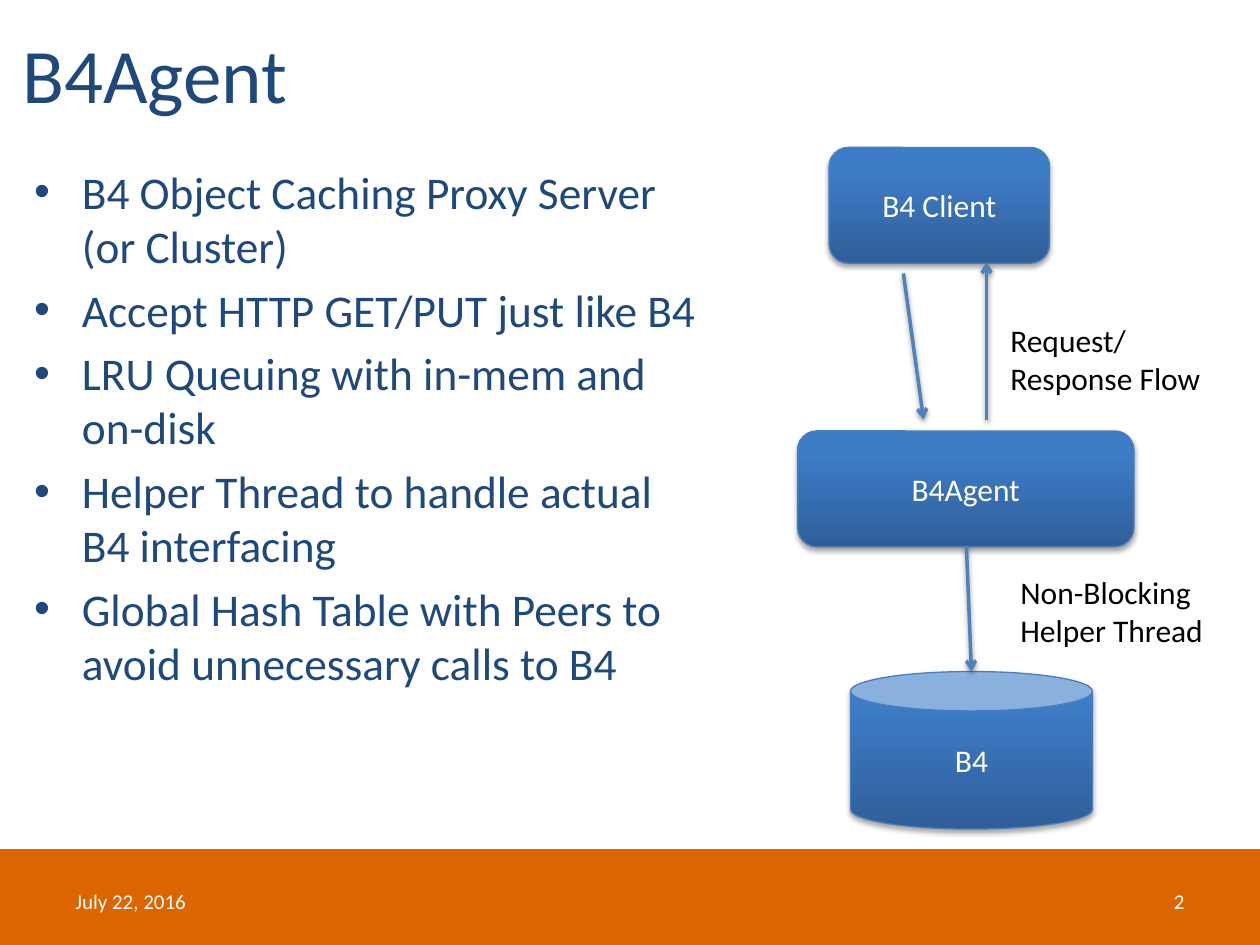
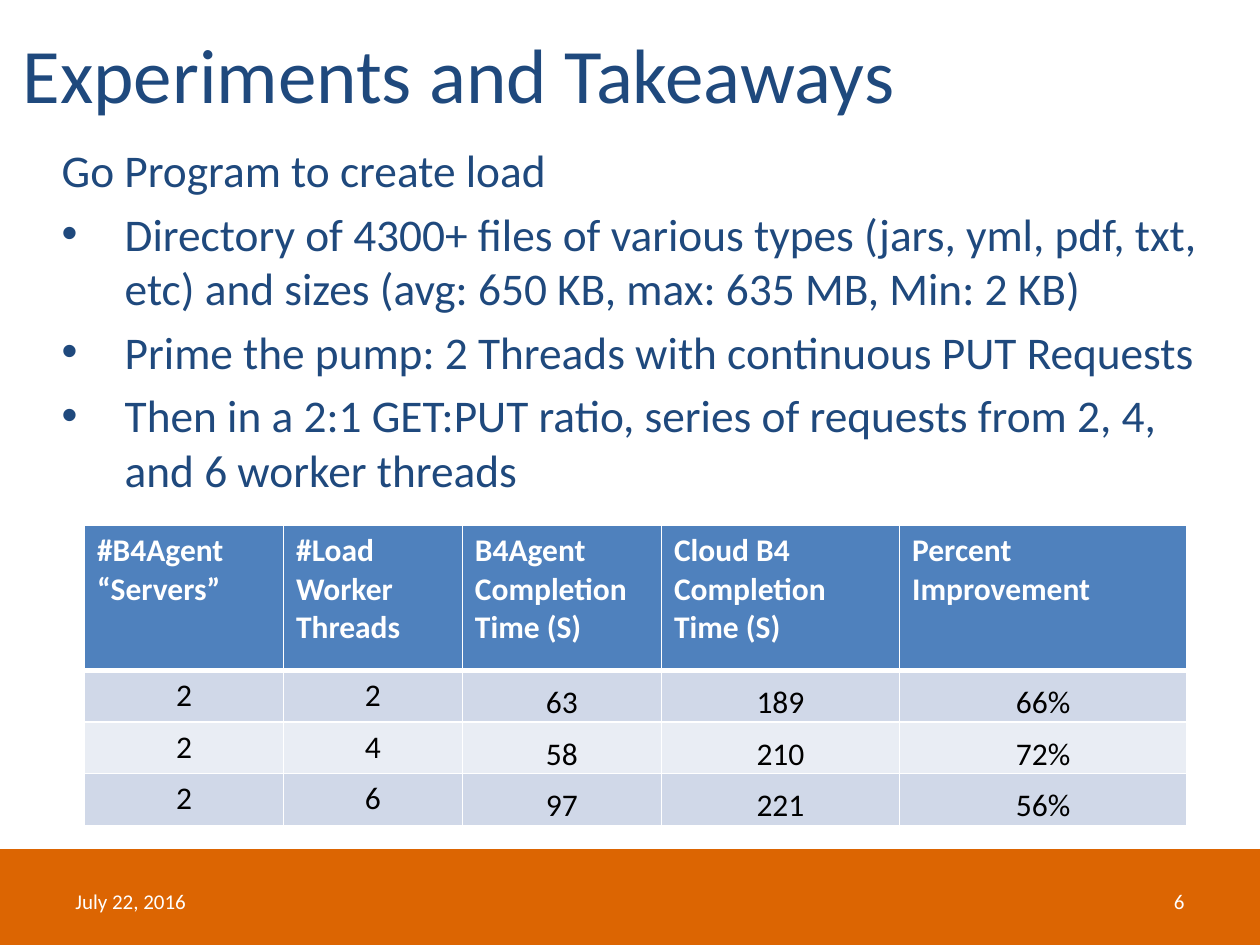
"""Build two slides on a caching proxy: its design and its load test."""
from dataclasses import dataclass

from lxml import etree
from pptx import Presentation
from pptx import slide as sl
from pptx import util as u
from pptx.dml import color as col
from pptx.enum import shapes, text
from pptx.oxml import ns

ALIGN = text.PP_ALIGN
ANCHOR = text.MSO_ANCHOR


@dataclass(frozen=True)
class Theme:
    font: str = "Calibri"
    navy: str = "1F497D"
    band: str = "DC6502"
    white: str = "FFFFFF"
    black: str = "000000"
    blue: str = "4F81BD"
    edge: str = "4B7EBC"
    deep: str = "2F5F99"
    lit: str = "3D7CC7"
    rows: tuple = ("D0D8E8", "E9EDF4")
    title: float = 44
    body: float = 25.9
    label: float = 18
    foot: float = 12


@dataclass(frozen=True)
class Box:
    left: float
    top: float
    width: float
    height: float

    def area(self) -> tuple:
        return tuple(map(u.Inches, (self.left, self.top, self.width, self.height)))


@dataclass(frozen=True)
class Node:
    label: str
    kind: shapes.MSO_SHAPE
    box: Box


@dataclass(frozen=True)
class Arrow:
    start: tuple
    end: tuple


@dataclass(frozen=True)
class Item:
    words: str
    margin: float
    hang: float


T = Theme()
ROUND = shapes.MSO_SHAPE.ROUNDED_RECTANGLE
NODES = (
    Node("B4Agent", ROUND, Box(6.33, 3.42, 2.67, 0.92)),
    Node("B4 Client", ROUND, Box(6.58, 1.17, 1.75, 0.92)),
    Node("B4", shapes.MSO_SHAPE.CAN, Box(6.75, 5.33, 1.92, 1.25)),
)
ARROWS = (
    Arrow((7.17, 2.17), (7.33, 3.33)),
    Arrow((7.83, 3.33), (7.83, 2.08)),
    Arrow((7.67, 4.33), (7.71, 5.33)),
)
NOTES = (
    ("Request/Response Flow", Box(7.92, 2.5, 1.75, 0.71)),
    ("Non-Blocking Helper Thread", Box(8, 4.5, 1.75, 0.71)),
)
TRAITS = (
    "B4 Object Caching Proxy Server (or Cluster)",
    "Accept HTTP GET/PUT just like B4",
    "LRU Queuing with in-mem and on-disk",
    "Helper Thread to handle actual B4 interfacing",
    "Global Hash Table with Peers to avoid unnecessary calls to B4",
)
STEPS = (
    "Directory of 4300+ files of various types (jars, yml, pdf, txt, etc) "
    "and sizes (avg: 650 KB, max: 635 MB, Min: 2 KB)",
    "Prime the pump: 2 Threads with continuous PUT Requests",
    "Then in a 2:1 GET:PUT ratio, series of requests from 2, 4, and 6 worker threads",
)
COLS = (1.58, 1.42, 1.58, 1.89, 2.28)
DATA = (
    ("#B4Agent “Servers”", "#Load Worker Threads", "B4Agent Completion Time (S)",
     "Cloud B4 Completion Time (S)", "Percent Improvement"),
    ("2", "2", "63", "189", "66%"),
    ("2", "4", "58", "210", "72%"),
    ("2", "6", "97", "221", "56%"),
)


def rgb(code: str) -> col.RGBColor:
    """Turn a hex code into a colour."""
    return col.RGBColor.from_string(code)


def add(base, tag: str, **attrs):
    """Append one XML child and return it."""
    return etree.SubElement(base, ns.qn(tag), {k: str(v) for k, v in attrs.items()})


def style(frame, size: float, ink: str, align=ALIGN.LEFT, bold: bool = False) -> None:
    """Format every run of a text frame."""
    for para in frame.paragraphs:
        para.alignment = align
        for run in para.runs:
            run.font.name, run.font.size = T.font, u.Pt(size)
            run.font.bold, run.font.color.rgb = bold, rgb(ink)


def place(shape, box: Box) -> None:
    """Move a shape onto a box."""
    shape.left, shape.top, shape.width, shape.height = box.area()


def shade(shape, dist: float, alpha: int) -> None:
    """Give a shape or connector a soft shadow below."""
    fx = add(shape._element.spPr, "a:effectLst")
    drop = add(fx, "a:outerShdw", blurRad=u.Pt(3.1), dist=u.Pt(dist),
               dir=90 * 60000, rotWithShape=0)
    ink = add(drop, "a:srgbClr", val=T.black)
    add(ink, "a:alpha", val=alpha * 1000)


def write(page: sl.Slide, words: str, box: Box, size: float, ink: str,
          align=ALIGN.LEFT, anchor=ANCHOR.TOP) -> None:
    """Add a wrapped text box."""
    frame = page.shapes.add_textbox(*box.area()).text_frame
    frame.word_wrap, frame.vertical_anchor = True, anchor
    frame.text = words
    style(frame, size, ink, align)


def start(deck, title: str, number: int) -> sl.Slide:
    """Add a slide with title, band and footer."""
    page = deck.slides.add_slide(deck.slide_layouts[1])
    head = page.shapes.title
    place(head, Box(0.08, 0.07, 8.08, 1.02))
    head.text_frame.text = title
    head.text_frame.vertical_anchor = ANCHOR.MIDDLE
    style(head.text_frame, T.title, T.navy)
    band = page.shapes.add_shape(shapes.MSO_SHAPE.RECTANGLE, *Box(0, 6.75, 10, 0.75).area())
    band.shadow.inherit = False
    band.fill.solid()
    band.fill.fore_color.rgb = band.line.color.rgb = rgb(T.band)
    band.line.width = u.Pt(2)
    for words, left, align in (("July 22, 2016", 0.5, ALIGN.LEFT), (str(number), 7.17, ALIGN.RIGHT)):
        write(page, words, Box(left, 6.95, 2.33, 0.4), T.foot, T.white, align, ANCHOR.MIDDLE)
    return page


def fill(page: sl.Slide, box: Box, items: list[Item]) -> None:
    """Fill the body placeholder with list items."""
    body = page.placeholders[1]
    place(body, box)
    frame = body.text_frame
    frame.auto_size = text.MSO_AUTO_SIZE.NONE
    frame.text = "\n".join(item.words for item in items)
    style(frame, T.body, T.navy)
    for para, item in zip(frame.paragraphs, items):
        props = para._p.get_or_add_pPr()
        props.set("marL", str(u.Inches(item.margin)))
        props.set("indent", str(u.Inches(-item.hang)))
        if item.hang:
            add(props, "a:buFont", typeface="Arial")
            add(props, "a:buChar", char="•")
        else:
            add(props, "a:buNone")


def block(page: sl.Slide, node: Node) -> None:
    """Draw one shaded node of the diagram."""
    shape = page.shapes.add_shape(node.kind, *node.box.area())
    shape.fill.gradient()
    shape.fill.gradient_angle = 90
    for stop, ink, spot in zip(shape.fill.gradient_stops, (T.deep, T.lit), (0, 0.8)):
        stop.color.rgb, stop.position = rgb(ink), spot
    shape.line.color.rgb, shape.line.width = rgb(T.edge), u.Pt(0.75)
    shade(shape, 1.8, 35)
    shape.text_frame.text = node.label
    shape.text_frame.vertical_anchor = ANCHOR.MIDDLE
    style(shape.text_frame, T.label, T.white, ALIGN.CENTER)


def link(page: sl.Slide, arrow: Arrow) -> None:
    """Draw one arrow of the diagram."""
    ends = map(u.Inches, arrow.start + arrow.end)
    wire = page.shapes.add_connector(shapes.MSO_CONNECTOR.STRAIGHT, *ends)
    wire.line.color.rgb, wire.line.width = rgb(T.blue), u.Pt(2)
    add(wire.line._get_or_add_ln(), "a:tailEnd", type="arrow")
    shade(wire, 1.6, 38)


def edge(cell, head: bool) -> None:
    """Rule a cell in white, thicker below the header."""
    props = cell._tc.get_or_add_tcPr()
    for side in "LRTB":
        wide = 3 if head and side == "B" else 1
        line = add(props, f"a:ln{side}", w=u.Pt(wide))
        add(add(line, "a:solidFill"), "a:srgbClr", val=T.white)


def grid(page: sl.Slide, box: Box) -> None:
    """Draw the table of results."""
    table = page.shapes.add_table(len(DATA), len(COLS), *box.area()).table
    for part, width in zip(table.columns, COLS):
        part.width = u.Inches(width)
    for r, row in enumerate(DATA):
        head = r == 0
        table.rows[r].height = u.Inches(1.15 if head else 0.41)
        for c, words in enumerate(row):
            cell = table.cell(r, c)
            cell.text_frame.text = words
            edge(cell, head)
            cell.fill.solid()
            cell.fill.fore_color.rgb = rgb(T.blue if head else T.rows[(r - 1) % 2])
            style(cell.text_frame, T.label, T.white if head else T.black,
                  ALIGN.LEFT if head else ALIGN.CENTER, head)
            if not head and c > 1:
                cell.vertical_anchor = ANCHOR.BOTTOM
                cell.margin_left = cell.margin_right = cell.margin_top = u.Inches(0.01)
                cell.margin_bottom = 0


def design(deck) -> None:
    """Build the slide on the design."""
    page = start(deck, "B4Agent", 2)
    fill(page, Box(0.17, 1.25, 5.5, 4.95), [Item(words, 0.38, 0.38) for words in TRAITS])
    for node in NODES:
        block(page, node)
    for arrow in ARROWS:
        link(page, arrow)
    for words, box in NOTES:
        write(page, words, box, T.label, T.black)


def trial(deck) -> None:
    """Build the slide on the load test."""
    page = start(deck, "Experiments and Takeaways", 6)
    items = [Item("Go Program to create load", 0.06, 0)]
    items += [Item(words, 0.56, 0.5) for words in STEPS]
    fill(page, Box(0.33, 1.08, 9.42, 3.75), items)
    grid(page, Box(0.67, 4.17, 8.75, 2.38))


def main() -> None:
    """Build and save the deck."""
    deck = Presentation()
    deck.slide_width, deck.slide_height = u.Inches(10), u.Inches(7.5)
    design(deck)
    trial(deck)
    deck.save("out.pptx")


main()
